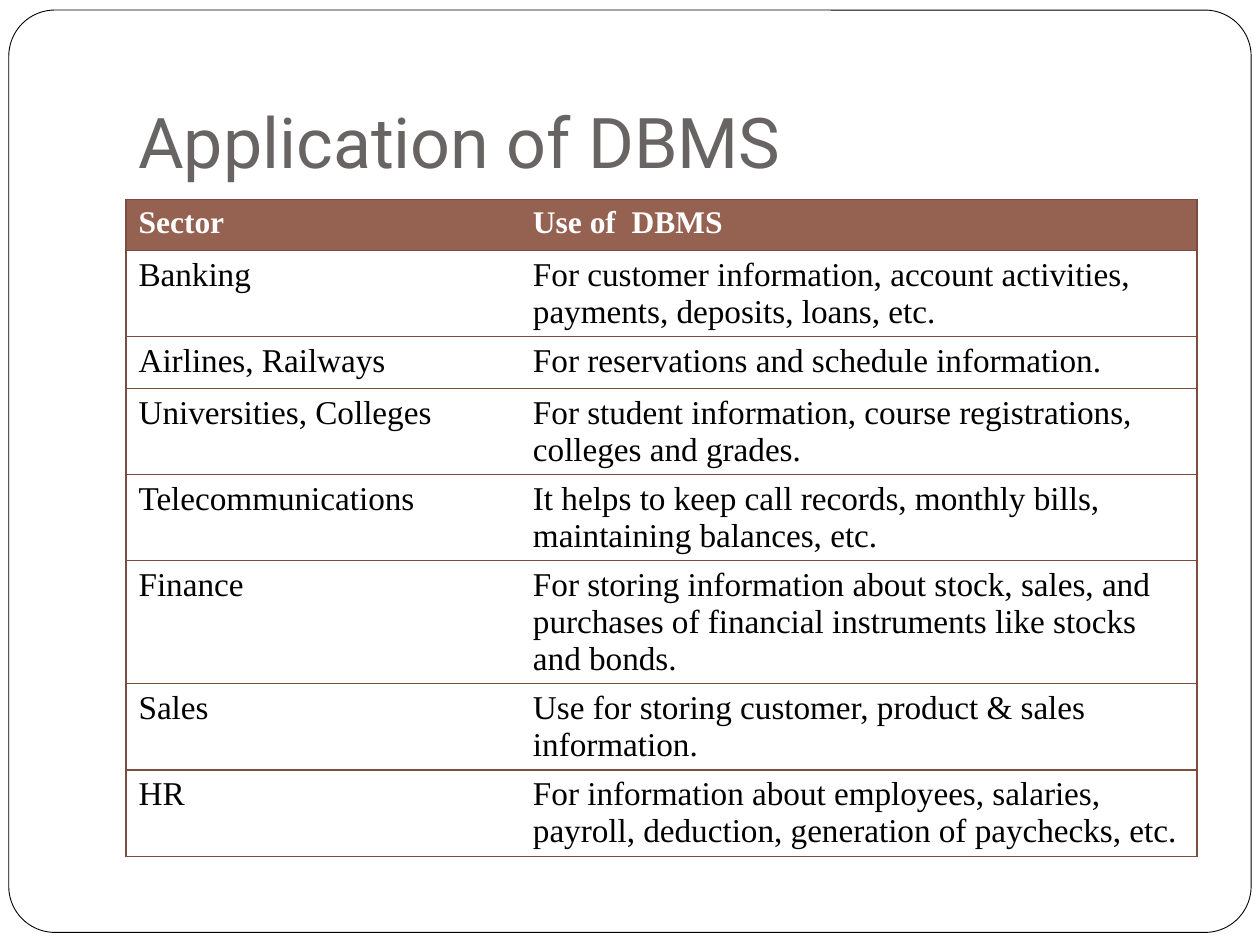
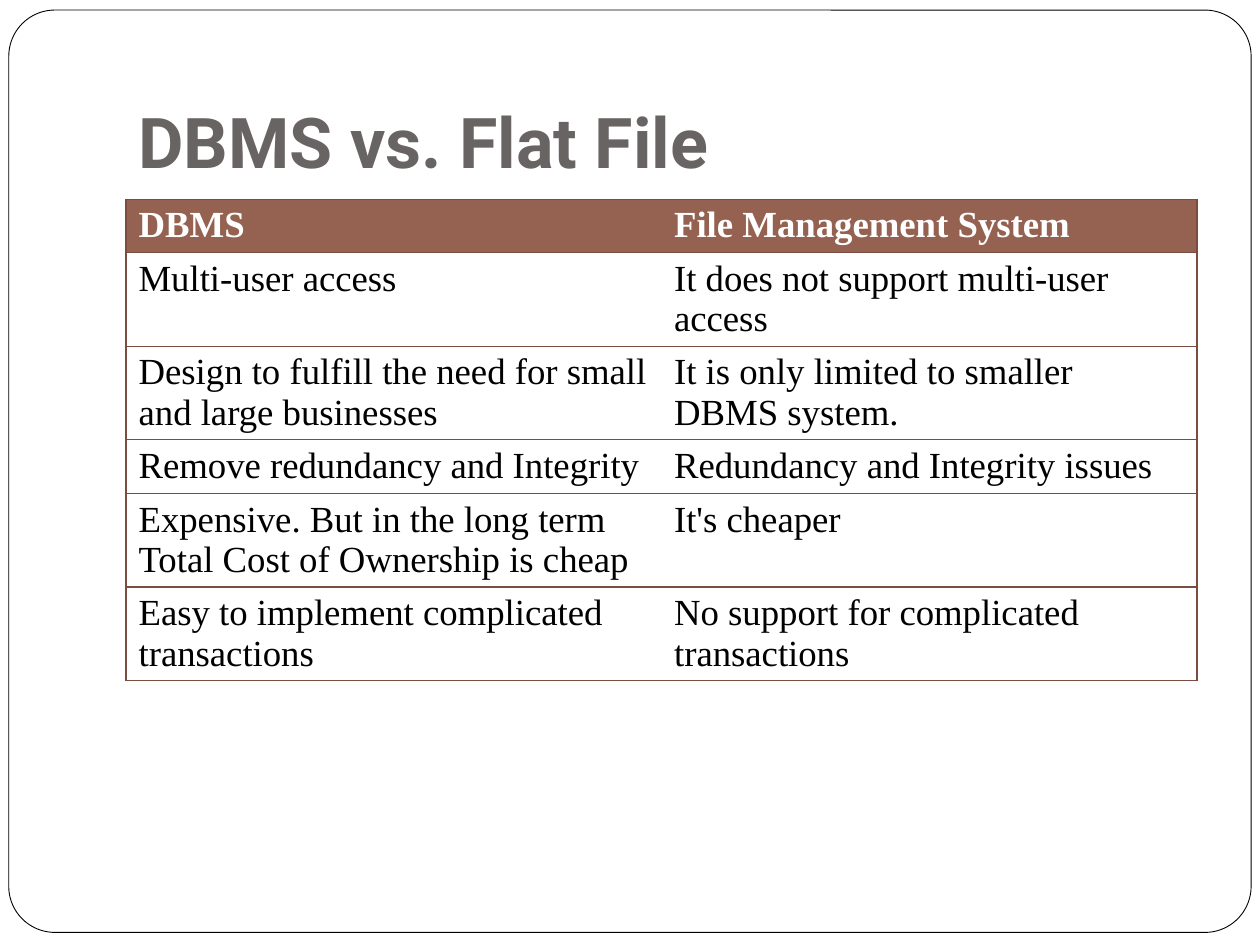
from lxml import etree
from pptx import Presentation
from pptx import util as u
from pptx.dml import color
from pptx.enum import shapes, text
from pptx.oxml import ns

COLORS = {"paper": "FFFFFF", "ink": "000000", "title": "696464",
          "header": "956251", "rule": "7A4D3E"}
BODY_FONT = "Times New Roman"
LEFT, WIDTH, ROW_HEIGHT = 1, 8.5, 0.41

lessons = [
    {"title": "Application of DBMS", "bold": False,
     "columns": (3.13, 5.37), "header_size": 18, "body_size": 19, "line_height": 21,
     "rows": [
         ("Sector", "Use of  DBMS"),
         ("Banking", "For customer information, account activities, payments, deposits, loans, etc."),
         ("Airlines, Railways", "For reservations and schedule information."),
         ("Universities, Colleges", "For student information, course registrations, colleges and grades."),
         ("Telecommunications", "It helps to keep call records, monthly bills, maintaining balances, etc."),
         ("Finance", "For storing information about stock, sales, and purchases of financial "
                     "instruments like stocks and bonds."),
         ("Sales", "Use for storing customer, product & sales information."),
         ("HR", "For information about employees, salaries, payroll, deduction, "
                "generation of paychecks, etc."),
     ]},
    {"title": "DBMS vs. Flat File", "bold": True,
     "columns": (4.25, 4.25), "header_size": 21, "body_size": 21, "line_height": 23.2,
     "rows": [
         ("DBMS", "File Management System"),
         ("Multi-user access", "It does not support multi-user access"),
         ("Design to fulfill the need for small and large businesses",
          "It is only limited to smaller DBMS system."),
         ("Remove redundancy and Integrity", "Redundancy and Integrity issues"),
         ("Expensive. But in the long term Total Cost of Ownership is cheap", "It's cheaper"),
         ("Easy to implement complicated transactions", "No support for complicated transactions"),
     ]},
]


def write(frame, words, ink, **font_format):
    paragraph = frame.paragraphs[0]
    paragraph.alignment = text.PP_ALIGN.LEFT
    run = paragraph.add_run()
    run.text = words
    for attribute, value in font_format.items():
        setattr(run.font, attribute, value)
    run.font.color.rgb = color.RGBColor.from_string(COLORS[ink])
    return paragraph


def rule_cell(cell, ruled_sides):
    properties = cell._tc.get_or_add_tcPr()
    for side in "LRTB":
        line = etree.SubElement(properties, ns.qn(f"a:ln{side}"), w=str(u.Pt(0.75)))
        if side in ruled_sides:
            fill = etree.SubElement(line, ns.qn("a:solidFill"))
            etree.SubElement(fill, ns.qn("a:srgbClr"), val=COLORS["rule"])
        else:
            etree.SubElement(line, ns.qn("a:noFill"))


deck = Presentation()
deck.slide_width, deck.slide_height = u.Inches(10), u.Inches(7.5)

for lesson in lessons:
    slide = deck.slides.add_slide(deck.slide_layouts[6])

    # Rounded frame
    frame = slide.shapes.add_shape(shapes.MSO_SHAPE.ROUNDED_RECTANGLE, u.Inches(0.07),
                                   u.Inches(0.08), u.Inches(9.86), u.Inches(7.32))
    frame.adjustments[0] = 0.05
    frame.shadow.inherit = False
    frame.fill.solid()
    frame.fill.fore_color.rgb = color.RGBColor.from_string(COLORS["paper"])
    frame.line.color.rgb = color.RGBColor.from_string(COLORS["ink"])
    frame.line.width = u.Pt(0.5)

    # Title
    heading = slide.shapes.add_textbox(u.Inches(LEFT), u.Inches(0.3),
                                       u.Inches(WIDTH), u.Inches(1.25)).text_frame
    heading_format = {"word_wrap": True, "vertical_anchor": text.MSO_ANCHOR.BOTTOM,
                      "margin_bottom": u.Inches(0.1)}
    for attribute, value in heading_format.items():
        setattr(heading, attribute, value)
    write(heading, lesson["title"], "title", name="Roboto", size=u.Pt(40), bold=lesson["bold"])

    # Table
    rows, columns = lesson["rows"], lesson["columns"]
    table = slide.shapes.add_table(len(rows), len(columns), u.Inches(LEFT), u.Inches(1.58),
                                   u.Inches(WIDTH), u.Inches(ROW_HEIGHT * len(rows))).table
    table.horz_banding = False
    for column, width in zip(table.columns, columns):
        column.width = u.Inches(width)
    for r, entries in enumerate(rows):
        is_header = r == 0
        size = lesson["header_size" if is_header else "body_size"]
        for c, entry in enumerate(entries):
            cell = table.cell(r, c)
            rule_cell(cell, "TBL" if c == 0 else "TBR")
            cell.fill.solid()
            cell.fill.fore_color.rgb = color.RGBColor.from_string(
                COLORS["header" if is_header else "paper"])
            line = write(cell.text_frame, entry, "paper" if is_header else "ink",
                         name=BODY_FONT, size=u.Pt(size), bold=is_header)
            # Fixed line height keeps the rows tight; a smaller header keeps its own
            if size == lesson["body_size"]:
                line.line_spacing = u.Pt(lesson["line_height"])

deck.save("out.pptx")
